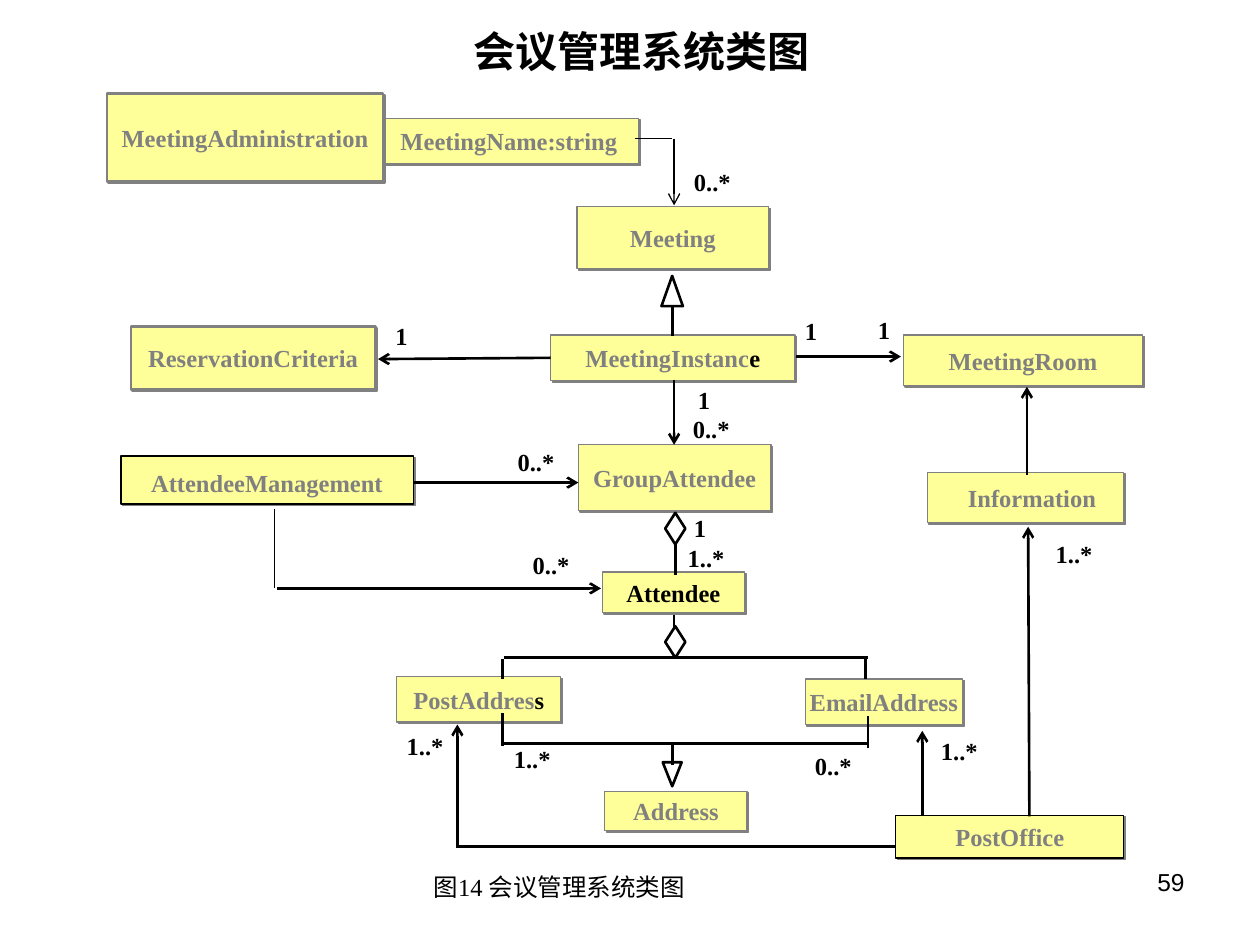
from lxml import etree
from pptx import Presentation
from pptx import util as u
from pptx.dml.color import RGBColor
from pptx.enum import shapes, text
from pptx.oxml.ns import qn

BLACK, GRAY, YELLOW, WHITE = "000000", "808080", "FFFF99", "FFFFFF"
SERIF, SANS = "Times New Roman", "Arial"
SHAPE = shapes.MSO_SHAPE
ALIGN = text.PP_ALIGN
ANCHOR = text.MSO_ANCHOR


def rgb(value):
    return RGBColor.from_string(value)


class ClassDiagram:
    """Holds the shared style and the slide that is being drawn."""

    size = 14
    thin, thick = 0.75, 1.5

    def __init__(self, slide):
        self.s = slide

    def add_runs(self, tf, runs, font=SERIF, size=size, bold=True, align=ALIGN.CENTER):
        """Fill the first paragraph with (text, colour) runs."""
        p = tf.paragraphs[0]
        p.alignment = align
        for words, color in runs:
            r = p.add_run()
            r.text = words
            r.font.name, r.font.size, r.font.bold = font, u.Pt(size), bold
            r.font.color.rgb = rgb(color)

    def title(self, words, x, y, w, h):
        sp = self.s.shapes.title
        sp.left, sp.top, sp.width, sp.height = map(u.Inches, (x, y, w, h))
        sp.text_frame.vertical_anchor = ANCHOR.MIDDLE
        self.add_runs(sp.text_frame, [(words, BLACK)], SANS, 24)

    def label(self, words, x, y, w=0.56, h=0.34, align=ALIGN.LEFT, **style):
        sp = self.s.shapes.add_textbox(*map(u.Inches, (x, y, w, h)))
        sp.text_frame.word_wrap = True
        self.add_runs(sp.text_frame, [(words, BLACK)], align=align, **style)

    def shape(self, kind, x, y, w, h, fill=None, line=BLACK, weight=thick):
        sp = self.s.shapes.add_shape(kind, *map(u.Inches, (x, y, w, h)))
        sp.shadow.inherit = False
        if fill:
            sp.fill.solid()
            sp.fill.fore_color.rgb = rgb(fill)
        else:
            sp.fill.background()
        sp.line.color.rgb = rgb(line)
        sp.line.width = u.Pt(weight)
        return sp

    def class_box(self, runs, x, y, w, h, line=GRAY, weight=thin):
        sp = self.shape(SHAPE.RECTANGLE, x, y, w, h, YELLOW, line, weight)
        effects = sp._element.spPr.find(qn("a:effectLst"))
        shadow = etree.SubElement(effects, qn("a:outerShdw"), dist=str(u.Pt(1.4)),
                                  dir="2700000", algn="ctr", rotWithShape="0")
        etree.SubElement(shadow, qn("a:srgbClr"), val=GRAY)
        tf = sp.text_frame
        tf.word_wrap = False
        tf.vertical_anchor = ANCHOR.MIDDLE
        self.add_runs(tf, runs)
        return sp

    def link(self, x1, y1, x2, y2, arrow=False, weight=thick):
        cx = self.s.shapes.add_connector(shapes.MSO_CONNECTOR.STRAIGHT,
                                         *map(u.Inches, (x1, y1, x2, y2)))
        cx.line.color.rgb = rgb(BLACK)
        cx.line.width = u.Pt(weight)
        sp_pr = cx._element.spPr
        if arrow:
            etree.SubElement(sp_pr.find(qn("a:ln")), qn("a:tailEnd"), type="arrow")
        etree.SubElement(sp_pr, qn("a:effectLst"))


def main():
    prs = Presentation()
    prs.slide_width, prs.slide_height = u.Inches(10), u.Inches(7.5)
    d = ClassDiagram(prs.slides.add_slide(prs.slide_layouts[5]))
    d.title("会议管理系统类图", 0.84, 0, 8.5, 0.81)

    for name, *place in [
        ("MeetingName:string", 3.01, 0.94, 2.06, 0.36),
        ("MeetingAdministration", 0.85, 0.74, 2.19, 0.7, GRAY, d.thick),
        ("Meeting", 4.58, 1.64, 1.52, 0.49),
        ("ReservationCriteria", 1.04, 2.59, 1.94, 0.5, GRAY, d.thick),
        ("MeetingRoom", 7.17, 2.66, 1.9, 0.4),
        ("GroupAttendee", 4.59, 3.53, 1.53, 0.52),
        ("EmailAddress", 6.39, 5.39, 1.25, 0.36),
        ("Address", 4.8, 6.28, 1.13, 0.31),
        ("PostOffice", 7.11, 6.47, 1.81, 0.34, BLACK),
    ]:
        d.class_box([(name, GRAY)], *place)
    d.class_box([("Attendee", BLACK)], 4.78, 4.54, 1.13, 0.32)
    d.class_box([("MeetingInstanc", GRAY), ("e", BLACK)], 4.37, 2.66, 1.94, 0.36)
    d.class_box([("PostAddres", GRAY), ("s", BLACK)], 3.15, 5.37, 1.3, 0.36)
    information = d.class_box([("Information", GRAY)], 7.36, 3.75, 1.56, 0.4)
    information.text_frame.margin_left = u.Inches(0.2)
    management = d.class_box([("AttendeeManagement", GRAY)], 0.96, 3.62, 2.32, 0.38, BLACK)
    management.text_frame.vertical_anchor = ANCHOR.TOP
    management.text_frame.paragraphs[0].line_spacing = 1.2

    # Associations, with an arrow at the end
    for ends in [
        (4.37, 2.84, 3, 2.85),
        (6.32, 2.83, 7.15, 2.83),
        (5.35, 3.02, 5.35, 3.53),
        (3.28, 3.83, 4.59, 3.83),
        (2.2, 4.67, 4.77, 4.67),
        (3.63, 6.72, 3.63, 5.75),
        (7.32, 6.48, 7.32, 5.8),
        (8.17, 6.48, 8.16, 4.18),
        (8.15, 3.77, 8.15, 3.07),
    ]:
        d.link(*ends, arrow=True)
    d.link(5.35, 1.1, 5.35, 1.63, arrow=True, weight=d.thin)

    # Plain segments
    d.link(5.04, 1.1, 5.33, 1.1, weight=d.thin)
    d.link(2.18, 4.04, 2.18, 4.67, weight=d.thin)
    for ends in [
        (5.34, 2.43, 5.34, 2.67),
        (5.36, 4.29, 5.36, 4.56),
        (5.35, 4.88, 5.35, 5.03),
        (4, 5.22, 6.89, 5.22),
        (3.99, 5.23, 3.99, 5.39),
        (6.87, 5.23, 6.87, 5.39),
        (3.99, 5.66, 3.99, 5.92),
        (6.89, 5.68, 6.89, 5.94),
        (4, 5.9, 6.89, 5.9),
        (5.34, 6.07, 5.34, 5.91),
        (3.62, 6.72, 7.11, 6.72),
    ]:
        d.link(*ends)

    # Inheritance triangles and aggregation diamonds
    d.shape(SHAPE.ISOSCELES_TRIANGLE, 5.25, 2.19, 0.17, 0.24)
    d.shape(SHAPE.ISOSCELES_TRIANGLE, 5.26, 6.05, 0.15, 0.19).rotation = 180
    d.shape(SHAPE.FLOWCHART_DECISION, 5.28, 4.07, 0.16, 0.25, WHITE)
    d.shape(SHAPE.DIAMOND, 5.28, 4.97, 0.16, 0.25, WHITE)

    multiplicities = {
        "1": [(3.04, 2.5), (6.29, 2.46), (6.87, 2.45), (5.44, 3.01), (5.41, 4.02)],
        "0..*": [(5.41, 1.28), (5.4, 3.24), (4.01, 3.5), (4.13, 4.32), (6.37, 5.91)],
        "1..*": [(5.36, 4.26), (8.28, 4.23), (3.13, 5.75), (3.98, 5.86), (7.37, 5.79)],
    }
    for words, places in multiplicities.items():
        for x, y in places:
            d.label(words, x, y)

    d.label("图14 会议管理系统类图", 1.94, 6.87, 5, align=ALIGN.CENTER, bold=False)
    d.label("59", 7.17, 6.83, 2.33, 0.52, ALIGN.RIGHT, font=SANS, bold=False)
    prs.save("out.pptx")


if __name__ == "__main__":
    main()
